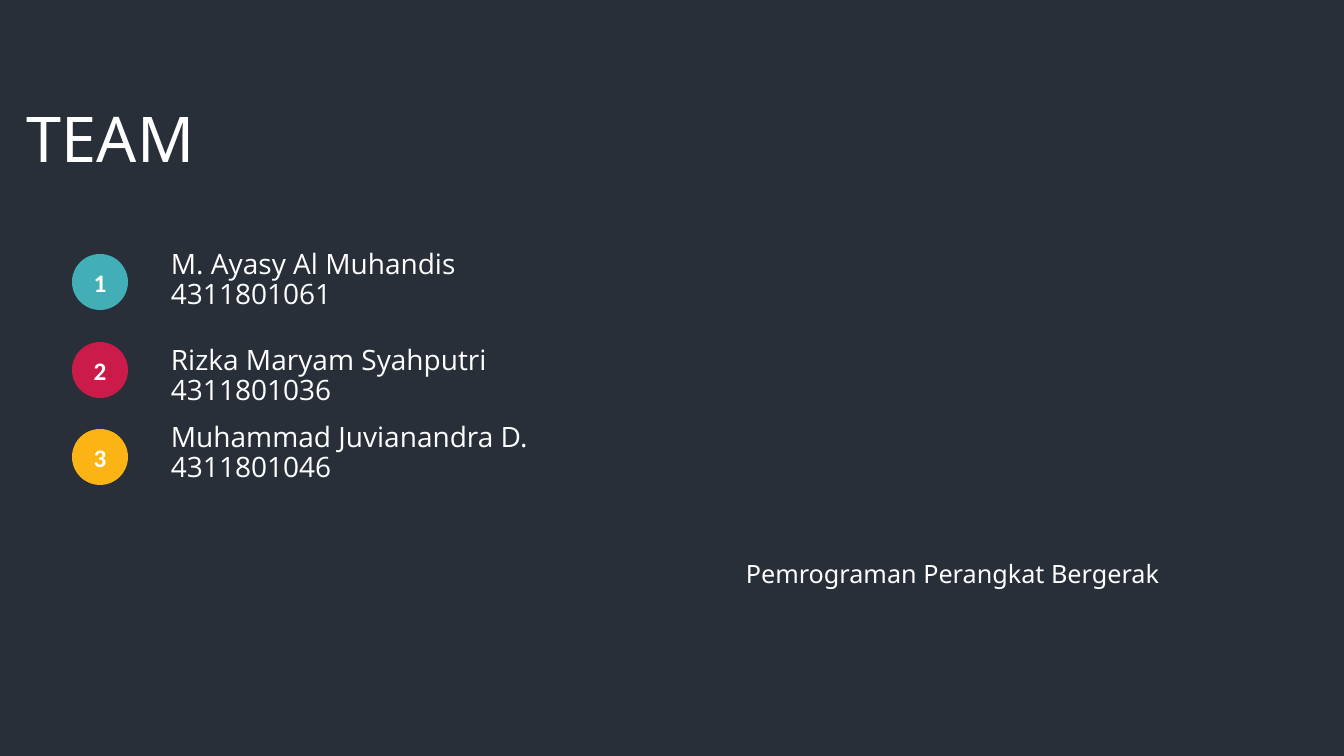
from pptx import Presentation
from pptx.dml.color import RGBColor
from pptx.enum.shapes import MSO_SHAPE
from pptx.enum.text import MSO_ANCHOR, PP_ALIGN
from pptx.util import Emu, Pt

ELLIPSE = MSO_SHAPE.OVAL
TOP, MIDDLE = MSO_ANCHOR.TOP, MSO_ANCHOR.MIDDLE
CENTER, JUSTIFY = PP_ALIGN.CENTER, PP_ALIGN.JUSTIFY

EMU_PER_PX = 914400 / 100.8
SLIDE_WIDTH, SLIDE_HEIGHT = 1344, 756
BACKGROUND, WHITE = "282F39", "FFFFFF"
BADGE_LEFT, BADGE_SIZE = 72, 56
NAME_LEFT, NAME_HEIGHT = 161, 78

# Name, student number, badge colour, badge top, name top, name width
MEMBERS = [
    ("M. Ayasy Al Muhandis", "4311801061", "42AFB6", 254, 245, 361),
    ("Rizka Maryam Syahputri", "4311801036", "CB1B4A", 342, 341, 361),
    ("Muhammad Juvianandra D.", "4311801046", "FCB414", 429, 418, 391),
]


def px(length):
    return Emu(round(length * EMU_PER_PX))


def color(hex_string):
    return RGBColor.from_string(hex_string)


def write(frame, text, size, font, align=CENTER, anchor=MIDDLE, bold=False, spacing=1.0):
    frame.text = text
    frame.word_wrap = True
    frame.vertical_anchor = anchor
    for paragraph in frame.paragraphs:
        paragraph.alignment = align
        paragraph.line_spacing = spacing
        for run in paragraph.runs:
            run.font.size = Pt(size)
            run.font.name = font
            run.font.bold = bold
            run.font.color.rgb = color(WHITE)


def add_title(slide, text):
    title = slide.shapes.title
    title.left, title.top, title.width, title.height = map(px, (-25, 94, 271, 87))
    write(title.text_frame, text, 45, "Noto Sans")


def add_label(slide, box, text, size, font, **style):
    label = slide.shapes.add_textbox(*map(px, box))
    write(label.text_frame, text, size, font, **style)


def add_badge(slide, top, number, fill):
    box = (BADGE_LEFT, top, BADGE_SIZE, BADGE_SIZE)
    badge = slide.shapes.add_shape(ELLIPSE, *map(px, box))
    badge.shadow.inherit = False
    badge.fill.solid()
    badge.fill.fore_color.rgb = color(fill)
    badge.line.fill.background()
    frame = badge.text_frame
    frame.margin_left = frame.margin_right = 0
    write(frame, str(number), 18, "Calibri", bold=True)


def main():
    presentation = Presentation()
    presentation.slide_width = px(SLIDE_WIDTH)
    presentation.slide_height = px(SLIDE_HEIGHT)
    slide = presentation.slides.add_slide(presentation.slide_layouts.get_by_name("Title Only"))
    slide.background.fill.solid()
    slide.background.fill.fore_color.rgb = color(BACKGROUND)

    # Heading and course name
    add_title(slide, "TEAM")
    add_label(slide, (487, 553, 931, 40), "Pemrograman Perangkat Bergerak", 18, "Noto Sans")

    # Numbered team members
    for number, member in enumerate(MEMBERS, start=1):
        name, student_id, fill, badge_top, name_top, name_width = member
        add_badge(slide, badge_top, number, fill)
        add_label(slide, (NAME_LEFT, name_top, name_width, NAME_HEIGHT),
                  f"{name}\n{student_id}", 20, "Open Sans",
                  align=JUSTIFY, anchor=TOP, spacing=0.9)

    presentation.save("out.pptx")


main()
